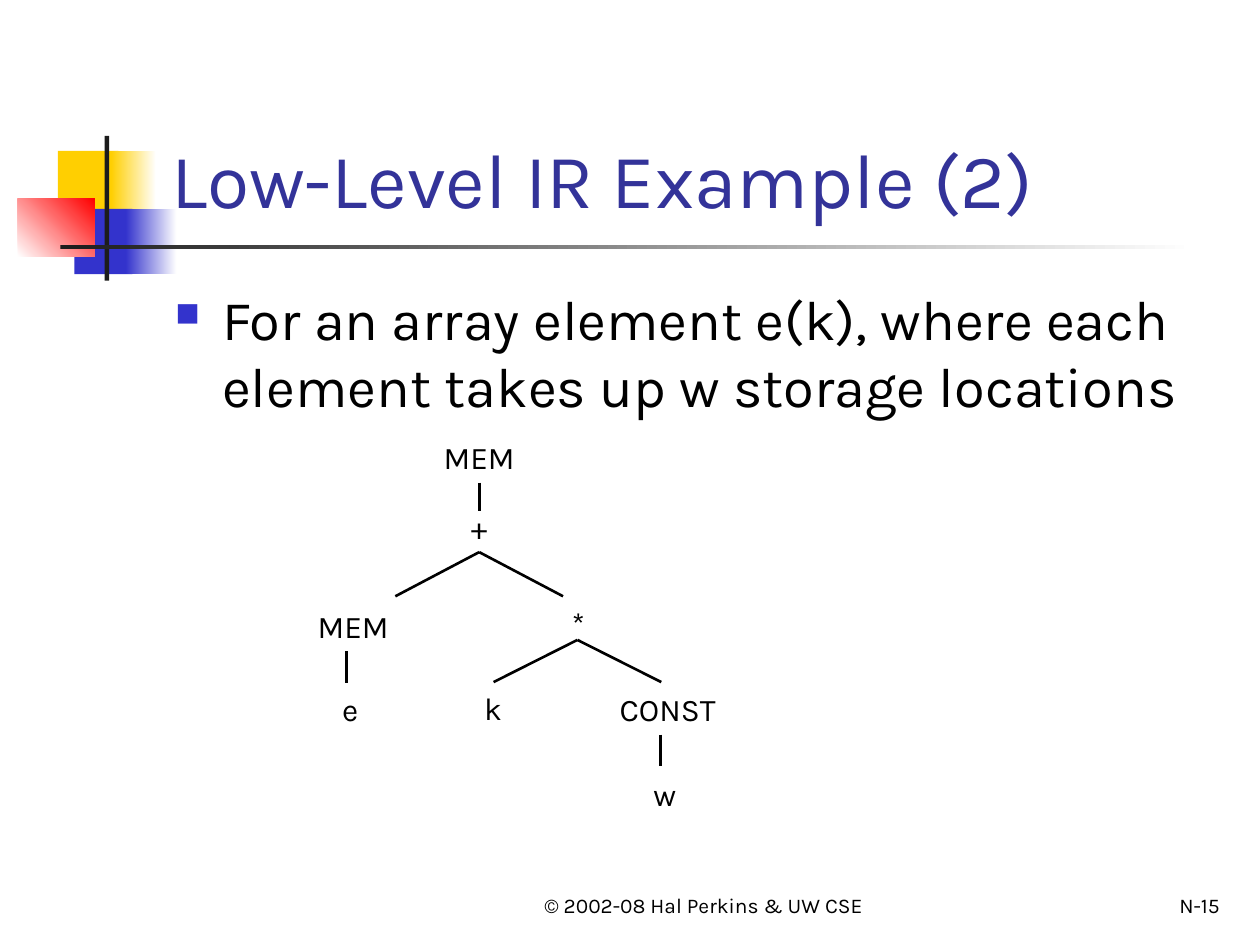
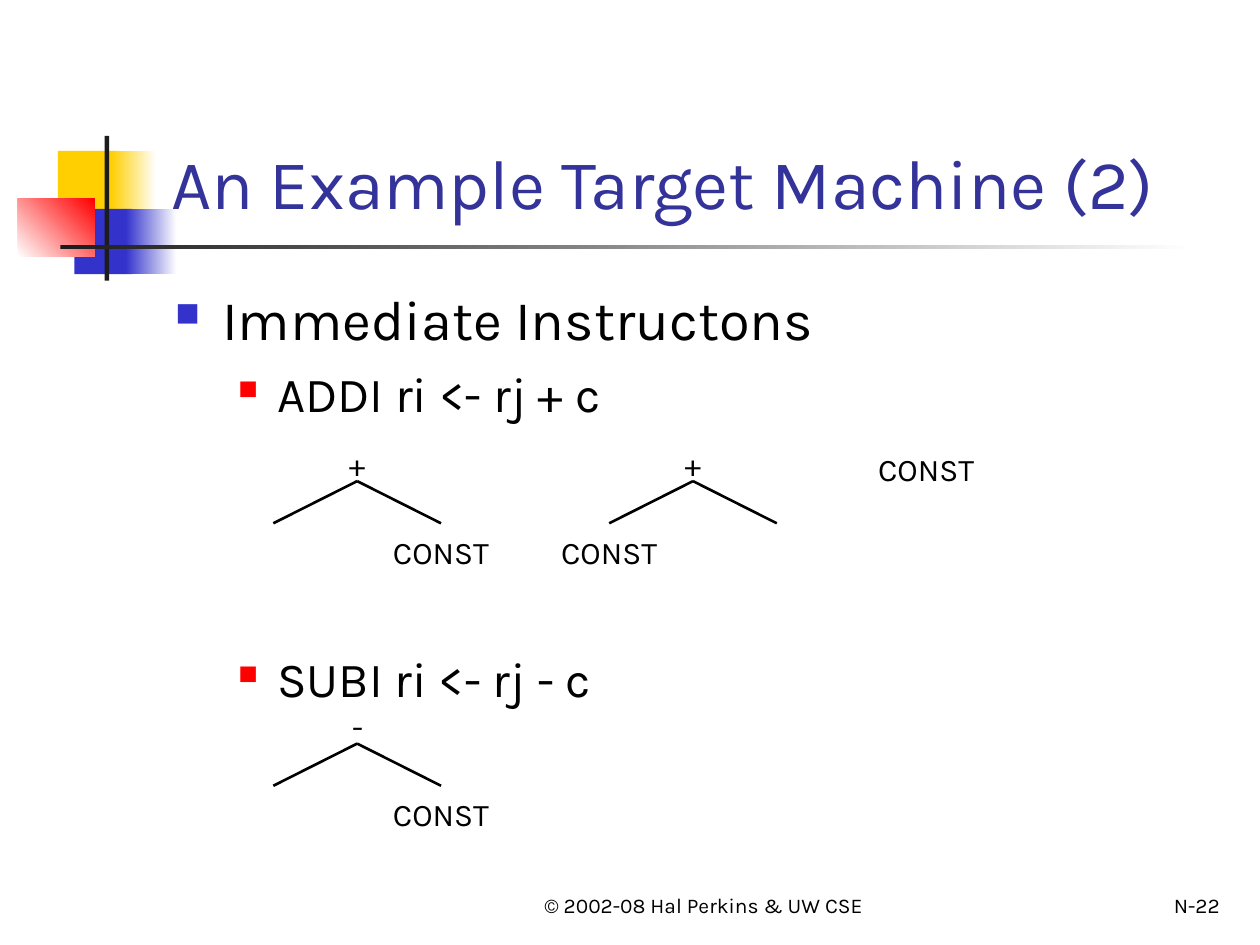
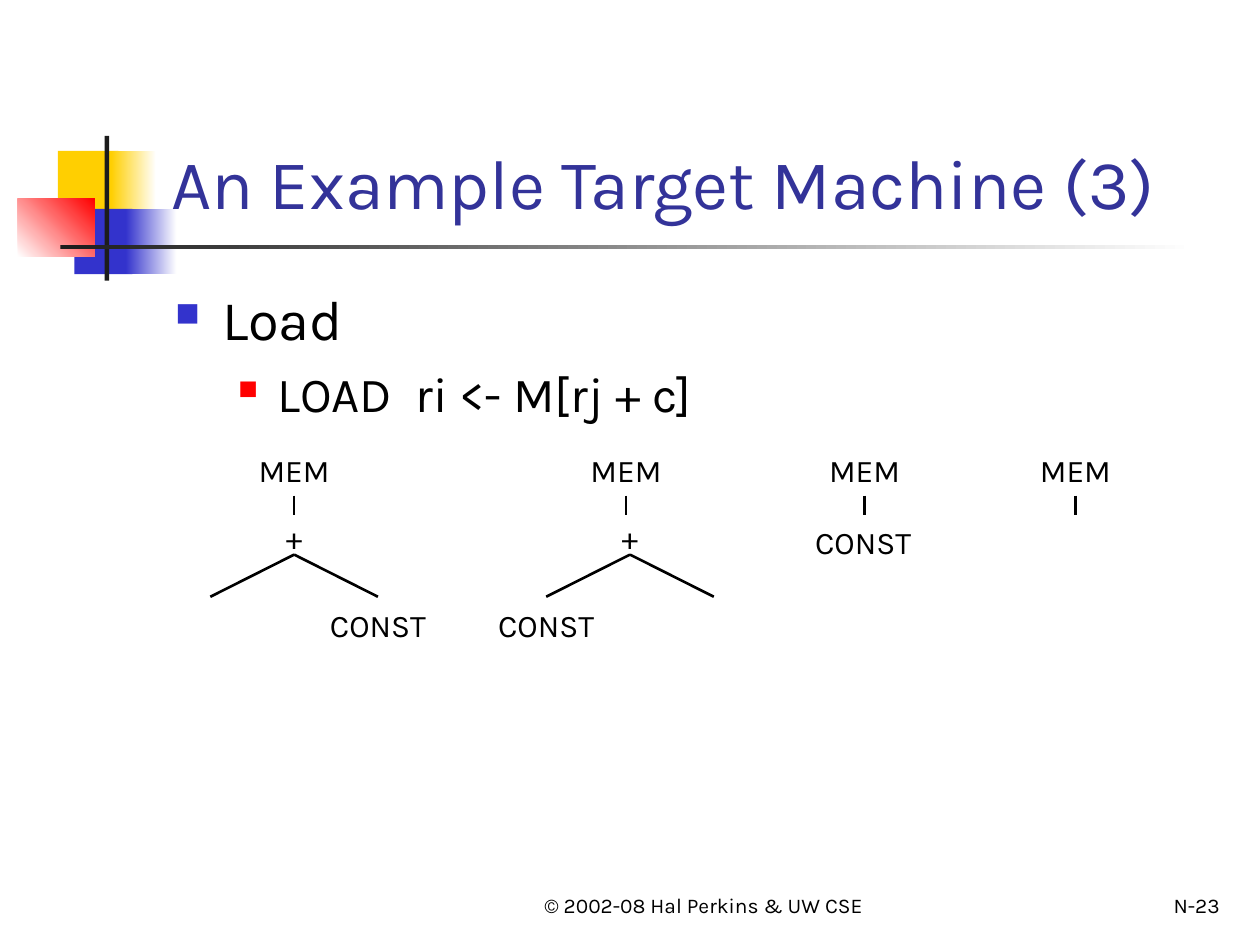
from dataclasses import dataclass

from lxml.etree import SubElement
from pptx import Presentation
from pptx.dml.color import RGBColor
from pptx.enum.shapes import MSO_CONNECTOR, MSO_SHAPE
from pptx.enum.text import MSO_ANCHOR, PP_ALIGN
from pptx.oxml.ns import qn
from pptx.util import Cm, Pt


@dataclass(frozen=True)
class Theme:
    font: str = "Karla"
    title: str = "333399"
    text: str = "000000"
    paper: str = "FFFFFF"
    yellow: str = "FFCF01"
    blue: str = "3333CC"
    red: str = "FF0000"
    rule: str = "1C1C1C"
    title_size: int = 44
    long_title_size: int = 40
    body_size: int = 32
    sub_size: int = 28
    label_size: int = 18
    footer_size: int = 12
    line_width: float = 1.5


THEME = Theme()

# Boxes are (left, top, width, height) in centimetres.
EMBLEM_BOX = (0.36, 2.74, 23.72, 2.92)
TITLE_BOX = (3.2, 0.58, 21.64, 4.06)
BODY_BOX = (3.28, 5.61, 21.59, 11.43)
FOOTER_BOX = (10.16, 17.35, 8.05, 1.27)
NUMBER_BOX = (19.56, 17.35, 5.28, 1.27)

LABEL_HEIGHT = 1.02
LABEL_WIDTHS = {"MEM": 2.0, "CONST": 2.6, "w": 1.0, "-": 0.7}
OPERATOR_WIDTH = 0.86
FORK_REACH = 1.69
FORK_DROP = 0.85
PATTERN_STEPS = (0, 6.77, 11.47)
LOAD_STEPS = (0, 6.69, 11.5, 15.75)


def lengths(*values):
    return [Cm(value) for value in values]


def add_run(paragraph, text, size, color):
    run = paragraph.add_run()
    run.text = text
    run.font.name = THEME.font
    run.font.size = Pt(size)
    run.font.color.rgb = RGBColor.from_string(color)


def add_text(slide, text, box, size, color=THEME.text, align=PP_ALIGN.LEFT,
             anchor=MSO_ANCHOR.TOP, wrap=True):
    shape = slide.shapes.add_textbox(*lengths(*box))
    frame = shape.text_frame
    frame.word_wrap = wrap
    frame.vertical_anchor = anchor
    paragraph = frame.paragraphs[0]
    paragraph.alignment = align
    add_run(paragraph, text, size, color)
    return shape


def add_block(slide, box, color, end_color=None, angle=0):
    """Add a plain rectangle, shaded towards end_color if one is given."""
    shape = slide.shapes.add_shape(MSO_SHAPE.RECTANGLE, *lengths(*box))
    shape.shadow.inherit = False
    shape.line.fill.background()
    if end_color is None:
        shape.fill.solid()
        shape.fill.fore_color.rgb = RGBColor.from_string(color)
        return
    shape.fill.gradient()
    shape.fill.gradient_angle = angle
    for stop, stop_color in zip(shape.fill.gradient_stops, (color, end_color)):
        stop.color.rgb = RGBColor.from_string(stop_color)


def add_emblem(slide, box):
    """Add the coloured squares and the crossed rules beside the title."""
    left, top, width, height = box
    paper = THEME.paper
    add_block(slide, (left + 0.81, top + 0.3, 1.22, 1.32), THEME.yellow)
    add_block(slide, (left + 1.88, top + 0.3, 0.91, 1.32), THEME.yellow, paper)
    add_block(slide, (left + 1.14, top + 1.47, 1.17, 1.32), THEME.blue)
    add_block(slide, (left + 2.18, top + 1.47, 1.02, 1.32), THEME.blue, paper)
    add_block(slide, (left, top + 1.27, 1.55, 1.17), paper, THEME.red, angle=45)
    add_block(slide, (left + 1.75, top, 0.09, height), THEME.rule)
    add_block(slide, (left + 0.86, top + 2.2, width - 0.86, 0.09), THEME.rule, paper)


def add_bullet(paragraph, indent, hanging, color, percent):
    properties = paragraph._p.get_or_add_pPr()
    properties.set("marL", str(Cm(indent)))
    properties.set("indent", str(-Cm(hanging)))
    bullet_color = SubElement(properties, qn("a:buClr"))
    SubElement(bullet_color, qn("a:srgbClr"), val=color)
    SubElement(properties, qn("a:buSzPct"), val=str(percent * 1000))
    SubElement(properties, qn("a:buChar"), char="■")


def add_body(slide, box, heading, items=()):
    """Add a heading bullet and its sub-bullets, given as (text, space before)."""
    shape = slide.shapes.add_textbox(*lengths(*box))
    frame = shape.text_frame
    frame.word_wrap = True
    paragraph = frame.paragraphs[0]
    add_bullet(paragraph, 0.95, 0.95, THEME.blue, 60)
    add_run(paragraph, heading, THEME.body_size, THEME.text)
    for text, space in items:
        paragraph = frame.add_paragraph()
        paragraph.level = 1
        paragraph.space_before = Pt(space)
        add_bullet(paragraph, 2.06, 0.79, THEME.red, 55)
        add_run(paragraph, text, THEME.sub_size, THEME.text)


def add_label(slide, text, center, top):
    width = LABEL_WIDTHS.get(text, OPERATOR_WIDTH)
    box = (center - width / 2, top, width, LABEL_HEIGHT)
    return add_text(slide, text, box, THEME.label_size,
                    align=PP_ALIGN.CENTER, wrap=False)


def add_line(slide, start, end, parent=None):
    """Draw a line, joined to the bottom of parent if one is given."""
    line = slide.shapes.add_connector(MSO_CONNECTOR.STRAIGHT, *lengths(*start, *end))
    line.line.color.rgb = RGBColor.from_string(THEME.text)
    line.line.width = Pt(THEME.line_width)
    SubElement(line._element.spPr, qn("a:effectLst"))
    if parent is not None:
        line.begin_connect(parent, 2)


def add_stem(slide, x, y, length=0.64, parent=None):
    add_line(slide, (x, y), (x, y + length), parent)


def add_fork(slide, x, y, parent=None):
    for side in (-1, 1):
        add_line(slide, (x, y), (x + side * FORK_REACH, y + FORK_DROP), parent)


def add_pattern(slide, operator, x, y, constant_side):
    """Add an operator whose fork starts at (x, y); side -1 is left, 1 right."""
    add_label(slide, operator, x, y - 0.86)
    add_fork(slide, x, y)
    add_label(slide, "CONST", x + constant_side * FORK_REACH, y + 0.92)


def add_sum_patterns(slide, left, top):
    """Add the three shapes of a sum with a constant."""
    first, second, third = (left + step for step in PATTERN_STEPS)
    add_pattern(slide, "+", first, top, 1)
    add_pattern(slide, "+", second, top, -1)
    add_label(slide, "CONST", third, top - 0.76)


def add_array_tree(slide, left, top):
    root_x = left + 3.54
    root = add_label(slide, "MEM", root_x, top)
    add_stem(slide, root_x, top + LABEL_HEIGHT, 0.58, root)
    plus = add_label(slide, "+", root_x, top + 1.4)
    add_fork(slide, root_x, top + 2.46, plus)

    add_label(slide, "MEM", left + 1.0, top + 3.4)
    add_stem(slide, left + 0.86, top + 4.42)
    add_label(slide, "e", left + 0.94, top + 5.08)

    add_label(slide, "*", left + 5.54, top + 3.35)
    add_fork(slide, left + 5.52, top + 4.19)
    add_label(slide, "k", left + 3.82, top + 5.05)
    add_label(slide, "CONST", left + 7.34, top + 5.08)
    add_stem(slide, left + 7.19, top + 6.1)
    add_label(slide, "w", left + 7.28, top + 6.78)


def add_load_patterns(slide, left, top):
    """Add the memory access above each pattern of an address."""
    add_sum_patterns(slide, left, top + 2.21)
    for step in LOAD_STEPS:
        memory = add_label(slide, "MEM", left + step, top)
        add_stem(slide, left + step, top + LABEL_HEIGHT, 0.4, memory)


def add_base_slide(presentation, title, number, title_size=THEME.long_title_size):
    slide = presentation.slides.add_slide(presentation.slide_layouts[6])
    add_emblem(slide, EMBLEM_BOX)
    add_text(slide, "© 2002-08 Hal Perkins & UW CSE", FOOTER_BOX, THEME.footer_size,
             align=PP_ALIGN.CENTER, anchor=MSO_ANCHOR.BOTTOM)
    add_text(slide, number, NUMBER_BOX, THEME.footer_size,
             align=PP_ALIGN.RIGHT, anchor=MSO_ANCHOR.BOTTOM)
    add_text(slide, title, TITLE_BOX, title_size, color=THEME.title,
             anchor=MSO_ANCHOR.BOTTOM)
    return slide


def build_array_slide(presentation):
    slide = add_base_slide(presentation, "Low-Level IR Example (2)", "N-15",
                           THEME.title_size)
    add_body(slide, BODY_BOX, "For an array element e(k), where each element "
                              "takes up w storage locations")
    add_array_tree(slide, 6.12, 8.71)


def build_immediate_slide(presentation):
    slide = add_base_slide(presentation, "An Example Target Machine (2)", "N-22")
    add_body(slide, BODY_BOX, "Immediate Instructons",
             [("ADDI ri <- rj + c", 7), ("SUBI ri <- rj - c", 129)])
    add_sum_patterns(slide, 7.2, 9.7)
    add_pattern(slide, "-", 7.2, 14.99, 1)


def build_load_slide(presentation):
    slide = add_base_slide(presentation, "An Example Target Machine (3)", "N-23")
    add_body(slide, BODY_BOX, "Load", [("LOAD  ri <- M[rj + c]", 7)])
    add_load_patterns(slide, 5.93, 8.97)


def main():
    presentation = Presentation()
    presentation.slide_width = Cm(25.4)
    presentation.slide_height = Cm(19.05)
    build_array_slide(presentation)
    build_immediate_slide(presentation)
    build_load_slide(presentation)
    presentation.save("out.pptx")


if __name__ == "__main__":
    main()
